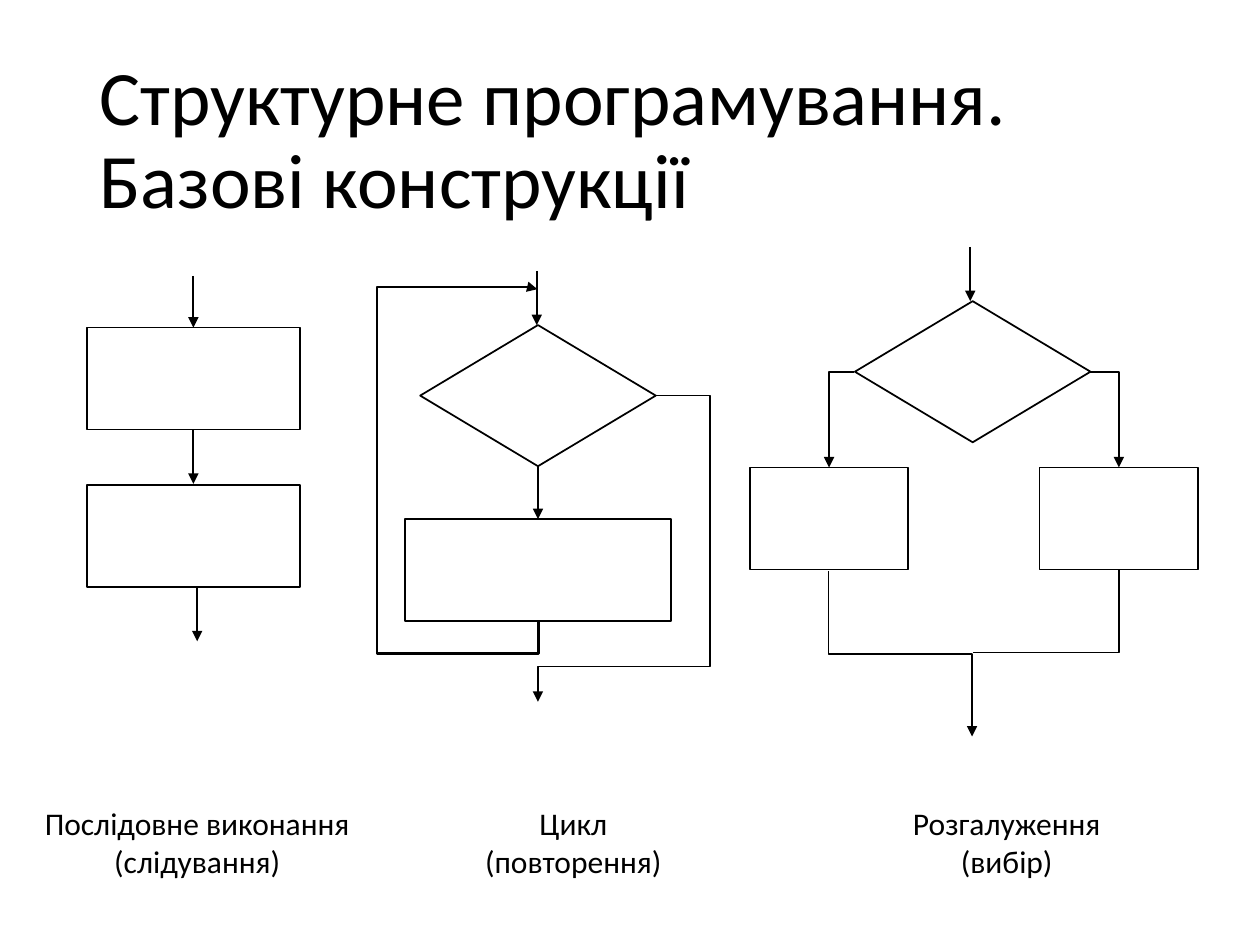
from dataclasses import dataclass

from lxml import etree
from pptx import Presentation
from pptx import util as u
from pptx.dml.color import RGBColor
from pptx.enum import shapes, text
from pptx.oxml.ns import qn


@dataclass(frozen=True)
class Theme:
    font: str = "Calibri"
    ink: RGBColor = RGBColor(0, 0, 0)
    paper: RGBColor = RGBColor(255, 255, 255)
    title_size: int = 44
    caption_size: int = 18
    outline: float = 1
    arrow: float = 1.25


@dataclass(frozen=True)
class Box:
    """Left, top, width and height in grid cells."""
    left: float
    top: float
    width: float
    height: float

    def inner(self, left, top, width, height):
        return Box(self.left + left, self.top + top, width, height)


THEME = Theme()
COLUMNS, ROWS = 100, 75
CELL = u.Inches(10) / COLUMNS
BLOCK_HEIGHT = 8.1
DECISION_SIZE = (18.7, 11.2)
GAP = 4.3


def cells(*values):
    return [round(value * CELL) for value in values]


def emu(box):
    return cells(box.left, box.top, box.width, box.height)


def add_run(paragraph, words, size):
    run = paragraph.add_run()
    run.text = words
    run.font.name = THEME.font
    run.font.size = u.Pt(size)
    run.font.color.rgb = THEME.ink


def add_node(slide, box, kind=shapes.MSO_SHAPE.RECTANGLE, filled=True):
    shape = slide.shapes.add_shape(kind, *emu(box))
    shape.shadow.inherit = False
    if filled:
        shape.fill.solid()
        shape.fill.fore_color.rgb = THEME.paper
    else:
        shape.fill.background()
    shape.line.color.rgb = THEME.ink
    shape.line.width = u.Pt(THEME.outline)


def add_decision(slide, box):
    add_node(slide, box, shapes.MSO_SHAPE.FLOWCHART_DECISION, filled=False)


def style_line(connector, width, arrow=True):
    connector.line.color.rgb = THEME.ink
    connector.line.width = u.Pt(width)
    properties = connector._element.spPr
    if arrow:
        etree.SubElement(properties.find(qn("a:ln")), qn("a:tailEnd"), type="triangle")
    etree.SubElement(properties, qn("a:effectLst"))


def add_arrow(slide, box, x, y, length=GAP):
    """Vertical arrow starting at x, y inside the box."""
    left, top, bottom = cells(box.left + x, box.top + y, box.top + y + length)
    connector = slide.shapes.add_connector(
        shapes.MSO_CONNECTOR.STRAIGHT, left, top, left, bottom)
    style_line(connector, THEME.arrow)


def add_elbow(slide, box, bends, adjustments=(), turn=0, flip="",
              width=THEME.outline, arrow=True):
    """Elbow connector; the box is its frame before it is turned."""
    left, top, wide, high = emu(box)
    xs, ys = (left, left + wide), (top, top + high)
    if "h" in flip:
        xs = xs[::-1]
    if "v" in flip:
        ys = ys[::-1]
    connector = slide.shapes.add_connector(
        shapes.MSO_CONNECTOR.ELBOW, xs[0], ys[0], xs[1], ys[1])
    properties = connector._element.spPr
    properties.find(qn("a:xfrm")).set("rot", str(turn * 60000))
    geometry = properties.find(qn("a:prstGeom"))
    geometry.set("prst", f"bentConnector{bends}")
    guides = geometry.find(qn("a:avLst"))
    if guides is None:
        guides = etree.SubElement(geometry, qn("a:avLst"))
    for number, share in enumerate(adjustments, 1):
        etree.SubElement(guides, qn("a:gd"), name=f"adj{number}",
                         fmla=f"val {round(share * 100000)}")
    style_line(connector, width, arrow)


def add_title(slide, box, words):
    title = slide.shapes.title
    title.left, title.top, title.width, title.height = emu(box)
    frame = title.text_frame
    frame.auto_size = text.MSO_AUTO_SIZE.NONE
    frame.word_wrap = True
    frame.vertical_anchor = text.MSO_ANCHOR.MIDDLE
    paragraph = frame.paragraphs[0]
    paragraph.alignment = text.PP_ALIGN.LEFT
    paragraph.line_spacing = 0.9
    add_run(paragraph, words, THEME.title_size)


def add_caption(slide, box, lines, wrap=False):
    frame = slide.shapes.add_textbox(*emu(box)).text_frame
    frame.word_wrap = wrap
    frame.auto_size = text.MSO_AUTO_SIZE.SHAPE_TO_FIT_TEXT
    for number, words in enumerate(lines):
        paragraph = frame.add_paragraph() if number else frame.paragraphs[0]
        paragraph.alignment = text.PP_ALIGN.CENTER
        add_run(paragraph, words, THEME.caption_size)


def add_sequence(slide, box):
    first, second = 4.1, 16.6
    # Two blocks, one after the other
    for top in (first, second):
        add_node(slide, box.inner(0, top, box.width, BLOCK_HEIGHT))
    # Entry, link and exit
    middle = box.width / 2
    add_arrow(slide, box, middle, 0, first)
    add_arrow(slide, box, middle, first + BLOCK_HEIGHT)
    add_arrow(slide, box, middle + 0.3, second + BLOCK_HEIGHT)


def add_loop(slide, box):
    middle, block_top = 13, 19.7
    # Condition and loop body
    add_decision(slide, box.inner(middle - DECISION_SIZE[0] / 2, GAP, *DECISION_SIZE))
    add_node(slide, box.inner(middle - 10.55, block_top, 21.1, BLOCK_HEIGHT))
    add_arrow(slide, box, middle - 0.1, 0)
    add_arrow(slide, box, middle, block_top - GAP)
    # Way back to the condition
    add_elbow(slide, box.inner(-0.2, 14.6, 26.4, 0.1), 5, (-0.095, 130, 1.006),
              turn=90, flip="h", width=THEME.arrow)
    # Way out of the loop
    add_elbow(slide, box.inner(middle, 9.9, 9.4, 24.3), 4, (-0.45, 0.885), flip="h")


def add_branch(slide, box):
    middle, block_width, block_top = 17.7, 12.6, 17.5
    # Condition and its two alternatives
    add_arrow(slide, box, middle - 0.2, 0)
    add_decision(slide, box.inner(middle - DECISION_SIZE[0] / 2, GAP, *DECISION_SIZE))
    for left in (0, box.width - block_width):
        add_node(slide, box.inner(left, block_top, block_width, BLOCK_HEIGHT))
    # Ways into the alternatives
    add_elbow(slide, box.inner(6.3, 9.9, 2, 7.6), 2, turn=180, flip="v")
    add_elbow(slide, box.inner(27, 9.9, 2.3, 7.6), 2)
    # Ways out, joined below
    add_elbow(slide, box.inner(5.4, 26.6, 13.1, 11.4), 3, (0.5,), turn=270, flip="h")
    add_elbow(slide, box.inner(20.2, 23.1, 6.6, 11.6), 2, turn=90, arrow=False)


def main():
    presentation = Presentation()
    presentation.slide_width, presentation.slide_height = cells(COLUMNS, ROWS)
    slide = presentation.slides.add_slide(presentation.slide_layouts[5])
    add_title(slide, Box(6.9, 4, 86.2, 14.5),
              "Структурне програмування. Базові конструкції")
    add_sequence(slide, Box(6.9, 21.9, 16.9, 29))
    add_loop(slide, Box(29.7, 21.5, 26.6, 34.2))
    add_branch(slide, Box(59.5, 19.6, 35.6, 38.8))
    # Captions share one row
    captions = Box(0, 63.3, COLUMNS, 7.1)
    add_caption(slide, captions.inner(2.4, 0, 26.5, 7.1),
                ("Послідовне виконання", "(слідування)"))
    add_caption(slide, captions.inner(37.4, 0, 16.2, 7.1), ("Цикл", "(повторення)"))
    add_caption(slide, captions.inner(67.8, 0, 24.2, 7.1),
                ("Розгалуження", "(вибір)"), wrap=True)
    presentation.save("out.pptx")


if __name__ == "__main__":
    main()
